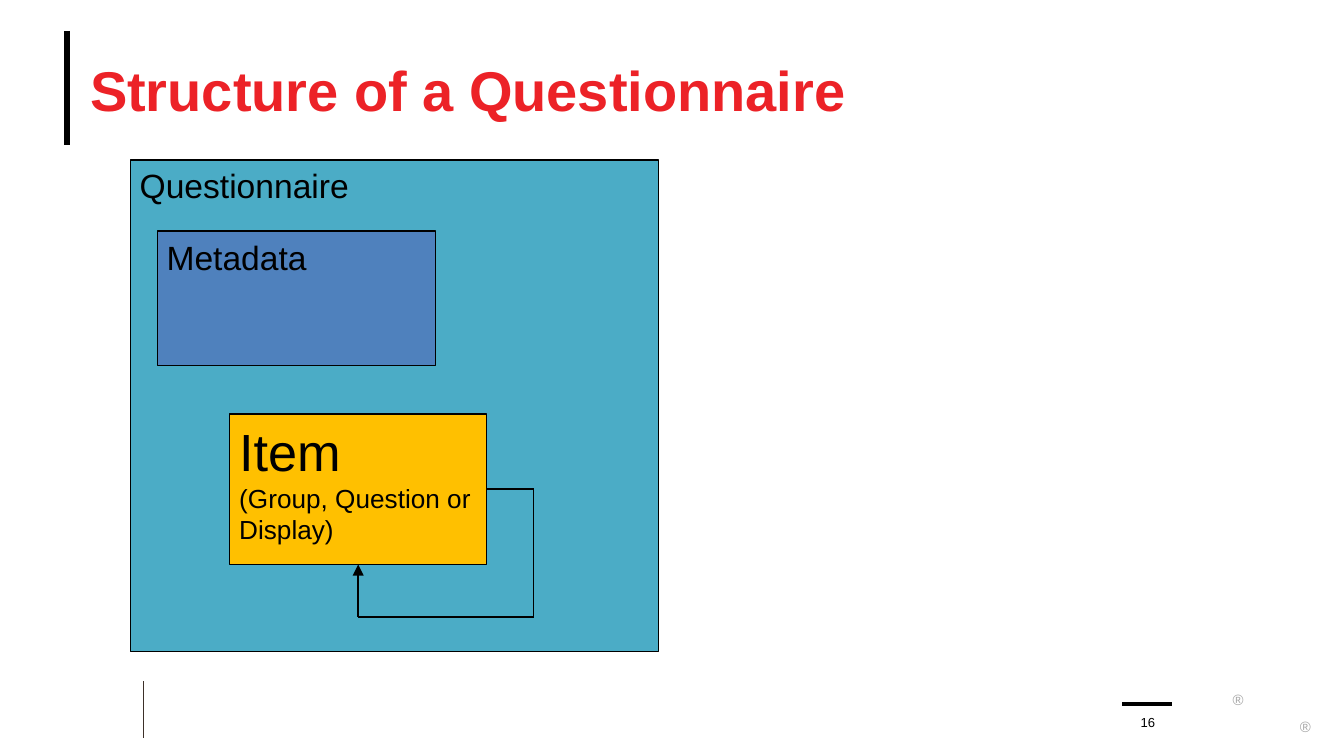
from pptx import Presentation
from pptx.dml.color import RGBColor
from pptx.enum.shapes import MSO_CONNECTOR, MSO_SHAPE
from pptx.enum.text import MSO_ANCHOR, MSO_AUTO_SIZE, PP_ALIGN
from pptx.oxml.ns import qn
from pptx.util import Inches, Pt
from lxml import etree

RECTANGLE = MSO_SHAPE.RECTANGLE
STRAIGHT = MSO_CONNECTOR.STRAIGHT
TOP, MIDDLE, BOTTOM = MSO_ANCHOR.TOP, MSO_ANCHOR.MIDDLE, MSO_ANCHOR.BOTTOM
LEFT, CENTER = PP_ALIGN.LEFT, PP_ALIGN.CENTER
FIT_SHAPE, NO_FIT = MSO_AUTO_SIZE.SHAPE_TO_FIT_TEXT, MSO_AUTO_SIZE.NONE

FONT = "Arial"
BLACK, RED, GREY, BROWN = "000000", "EC2227", "A6A6A6", "3D3029"
TEAL, BLUE, AMBER = "4BACC6", "4F81BD", "FFC000"


def color(value):
    return RGBColor.from_string(value)


def set_frame(frame, insets, anchor=TOP, wrap=True, fit=NO_FIT):
    horizontal, vertical = (Inches(inset) for inset in insets)
    frame.margin_left = frame.margin_right = horizontal
    frame.margin_top = frame.margin_bottom = vertical
    frame.vertical_anchor = anchor
    frame.word_wrap = wrap
    frame.auto_size = fit


def write_lines(frame, lines, text_color=BLACK, bold=False, align=LEFT):
    """Write one paragraph for each (text, size) pair."""
    for index, (text, size) in enumerate(lines):
        paragraph = frame.add_paragraph() if index else frame.paragraphs[0]
        paragraph.alignment = align
        run = paragraph.add_run()
        run.text = text
        run.font.name = FONT
        run.font.size = Pt(size)
        run.font.bold = bold
        run.font.color.rgb = color(text_color)


def add_line(slide, start, end, width=0.75, line_color=BLACK, arrow=False):
    points = [Inches(value) for value in (*start, *end)]
    connector = slide.shapes.add_connector(STRAIGHT, *points)
    connector.line.color.rgb = color(line_color)
    connector.line.width = Pt(width)
    if arrow:
        line = connector.line._get_or_add_ln()
        etree.SubElement(line, qn("a:tailEnd"), type="triangle")
    etree.SubElement(connector._element.spPr, qn("a:effectLst"))


def add_label(slide, box, text, size, text_color=BLACK, align=LEFT, **frame_options):
    shape = slide.shapes.add_textbox(*(Inches(value) for value in box))
    set_frame(shape.text_frame, **frame_options)
    write_lines(shape.text_frame, [(text, size)], text_color, align=align)


def add_block(slide, box, fill, lines):
    shape = slide.shapes.add_shape(RECTANGLE, *(Inches(value) for value in box))
    shape.shadow.inherit = False
    shape.fill.solid()
    shape.fill.fore_color.rgb = color(fill)
    shape.line.color.rgb = color(BLACK)
    shape.line.width = Pt(0.75)
    set_frame(shape.text_frame, (0.07, 0.04))
    write_lines(shape.text_frame, lines)


def add_title(slide, box, text):
    left, top, width, height = box
    # Accent bar beside the title
    add_line(slide, (left - 0.17, top), (left - 0.17, top + height - 0.01), 3.25)
    title = slide.shapes.title
    title.left, title.top, title.width, title.height = (Inches(value) for value in box)
    set_frame(title.text_frame, (0, 0), MIDDLE)
    write_lines(title.text_frame, [(text, 30)], RED, bold=True)


def add_footer(slide, box, number):
    left, top, width, height = box
    add_line(slide, (left, top), (left, top + height), 0.5, BROWN)
    # Registered marks
    for mark_left, mark_top in ((8.09, 0.03), (8.59, 0.23)):
        add_label(slide, (left + mark_left, top + mark_top, 0.11, 0.09), "®", 8, GREY,
                  insets=(0.1, 0.05), wrap=False, fit=FIT_SHAPE)
    # Page number under its rule
    rule_left, rule_top = left + 7.28, top + 0.17
    add_line(slide, (rule_left, rule_top), (rule_left + 0.37, rule_top), 2)
    add_label(slide, (rule_left + 0.04, rule_top, 0.3, 0.19), number, 7,
              align=CENTER, insets=(0, 0), anchor=BOTTOM)


def add_self_loop(slide, box):
    """Lead from the right side of the box back to its bottom side."""
    left, top, width, height = box
    right, bottom = left + width, top + height
    center, middle = left + width / 2, top + height / 2
    corners = [(right, middle), (right + 0.35, middle), (right + 0.35, bottom + 0.39),
               (center, bottom + 0.39), (center, bottom)]
    for start, end in zip(corners, corners[1:]):
        add_line(slide, start, end, arrow=end == corners[-1])


def add_structure(slide, box):
    left, top, width, height = box
    add_block(slide, box, TEAL, [("Questionnaire", 18)])
    add_block(slide, (left + 0.2, top + 0.53, 2.07, 1), BLUE, [("Metadata", 18)])
    item_box = (left + 0.74, top + 1.89, 1.91, 1.12)
    add_block(slide, item_box, AMBER,
              [("Item", 28), ("(Group, Question or", 14), ("Display)", 14)])
    add_self_loop(slide, item_box)


def main():
    presentation = Presentation()
    # Widescreen, 16:9
    presentation.slide_width = Inches(10)
    presentation.slide_height = presentation.slide_width * 9 // 16
    slide = presentation.slides.add_slide(presentation.slide_layouts[5])
    add_title(slide, (0.67, 0.23, 9, 0.86), "Structure of a Questionnaire")
    add_footer(slide, (1.07, 5.07, 8.69, 0.42), "16")
    add_structure(slide, (0.97, 1.19, 3.93, 3.66))
    presentation.save("out.pptx")


if __name__ == "__main__":
    main()
